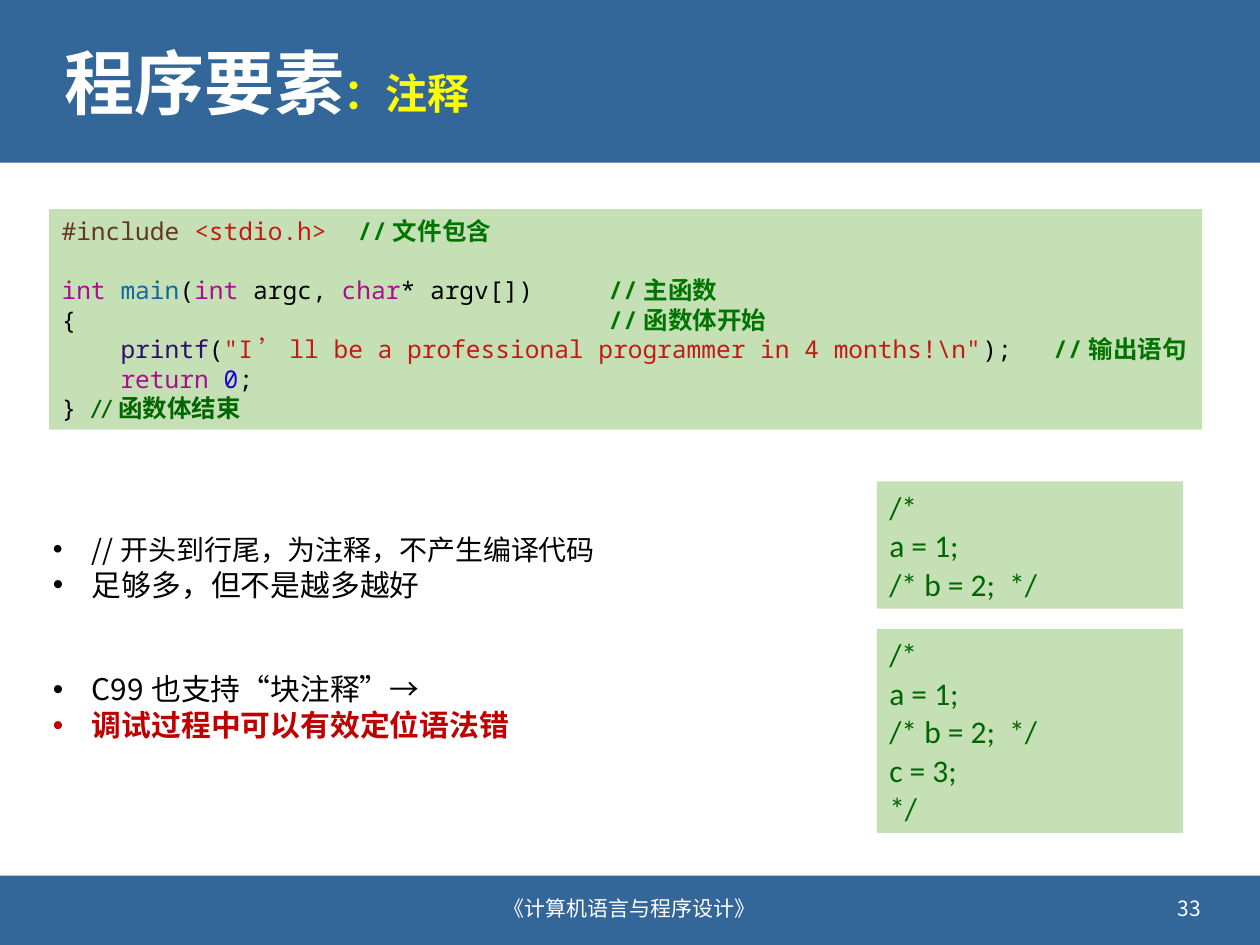
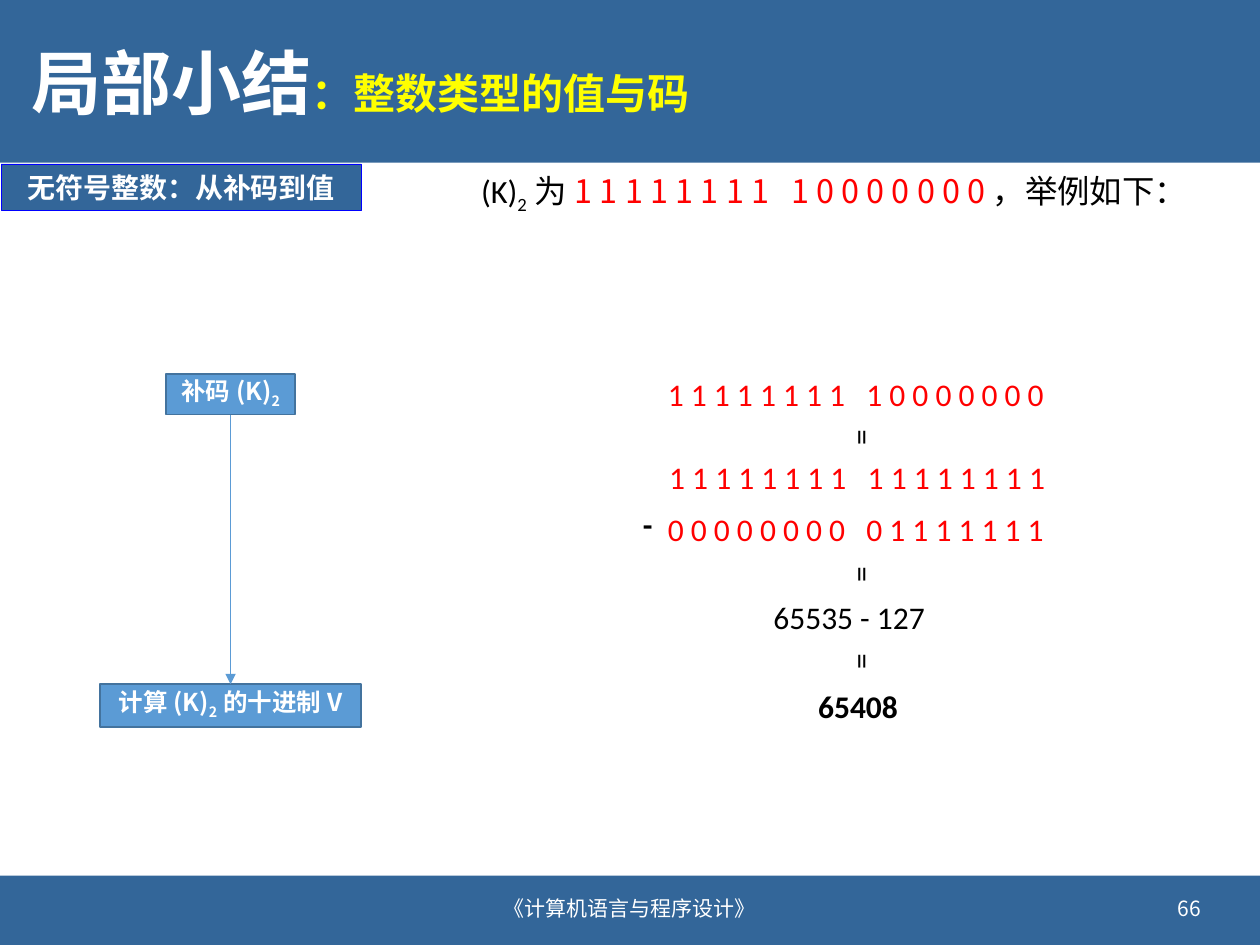
"""Build two lecture slides: comments in C, and decoding an unsigned integer."""
from lxml import etree
from pptx import Presentation
from pptx import util as u
from pptx.dml.color import RGBColor
from pptx.enum import shapes, text
from pptx.oxml import ns

Inches, Pt = u.Inches, u.Pt
SANS, LATIN, MONO = "Noto Sans CJK SC", "Calibri", "Noto Sans Mono"
LEADING = 1.22
COLORS = {
    "band": "336699", "white": "FFFFFF", "black": "000000", "yellow": "FFFF00",
    "code_fill": "C5E0B4", "code": "006600", "comment": "007400", "directive": "643820",
    "string": "C41A16", "keyword": "AA0D91", "function": "0F68A0", "library": "2E0D6E",
    "number": "1C00CF", "warning": "C00000", "red": "FF0000", "step": "5B9BD5",
    "step_line": "43739E", "tag_line": "0000FF",
}
FOOTER = "《计算机语言与程序设计》"
BANDS = [(0, 0, 10, 1.29), (0, 6.95, 10, 0.55)]


def spaced(bits):
    return " ".join(bits)


def colored(content, color, **extra):
    return content, {"color": color, **extra}


def comment(content):
    return colored(content, "comment", bold=True)


BULLETS = [
    ([("//开头到行尾，为注释，不产生编译代码", {"size": 16})], 0),
    ([("足够多，但不是越多越好", {})], 0),
    ([("C99也支持“块注释”→", {})], 39),
    ([colored("调试过程中可以有效定位语法错", "warning", bold=True)], 0),
]
PROGRAM = [
    [colored("#include ", "directive"), colored("<stdio.h>\t", "string"), comment("//文件包含")],
    [colored("int ", "keyword"), colored("main", "function"), ("(", {}), colored("int ", "keyword"),
     ("argc, ", {}), colored("char", "keyword"), ("* argv[])\t", {}), comment("//主函数")],
    [("{\t", {}), comment("//函数体开始")],
    [("    ", {}), colored("printf", "library"), ("(", {}), colored('"I', "string"),
     colored("’", "string", name=SANS),
     colored('ll be a professional programmer in 4 months!\\n"', "string"),
     (");\t", {}), comment("//输出语句")],
    [("    ", {}), colored("return ", "keyword"), colored("0", "number"), (";", {})],
    [("} ", {}), colored("//函数体结束", "code", bold=True, name=LATIN)],
]
PROGRAM_TABS = {0: 2.35, 1: 4.34, 2: 4.34, 3: 7.87}
BLANK_LINE_BEFORE = 1
BLOCK_COMMENTS = [
    (3.82, 1.01, ["/*", "a = 1;", "/* b = 2;  */"]),
    (4.99, 1.62, ["/*", "a = 1;", "/* b = 2;  */", "c = 3;", "*/"]),
]

SUBSCRIPT = ("2", {"baseline": "-25000"})
CODE_WORD = "11111111 10000000"
INTRO = [("(K)", {}), SUBSCRIPT, ("为", {}), colored(spaced(CODE_WORD), "red", name=SANS),
         ("，举例如下：", {})]
STEP_CENTER = 1.83
STEPS = [
    (2.97, 1.02, 0.32, [("补码(K)", {}), SUBSCRIPT]),
    (5.43, 2.07, 0.34, [("计算(K)", {}), SUBSCRIPT, ("的十进制V", {})]),
]
CALCULATION = [
    (5.18, 2.92, 3.23, spaced(CODE_WORD), {"color": "red"}),
    (5.16, 3.58, 3.29, spaced("11111111 11111111"), {"color": "red"}),
    (5, 3.95, 0.28, "-", {"bold": True}),
    (5.18, 3.99, 3.23, spaced("00000000 01111111"), {"color": "red"}),
    (6.03, 4.69, 1.42, "65535 - 127", {}),
    (6.39, 5.4, 0.84, "65408", {"bold": True}),
]
EQUALS_TOPS = [3.27, 4.36, 5.05]


def rgb(name):
    return RGBColor.from_string(COLORS[name])


def set_attributes(target, values):
    for name, value in values.items():
        setattr(target, name, value)


def place(shape, left, top, width, height):
    set_attributes(shape, {"left": Inches(left), "top": Inches(top),
                           "width": Inches(width), "height": Inches(height)})


def add_run(paragraph, content, style):
    run = paragraph.add_run()
    run.text = content
    run.font.color.rgb = rgb(style["color"])
    set_attributes(run.font, {"size": Pt(style["size"]), "name": style["name"],
                              "bold": style.get("bold", False)})
    properties = run.font._element
    etree.SubElement(properties, ns.qn("a:ea"), typeface=SANS)
    if "baseline" in style:
        properties.set("baseline", style["baseline"])


def write(shape, lines, size=18, name=LATIN, color="black", bold=False, align="LEFT",
          anchor="MIDDLE", wrap=True, leading=LEADING):
    """Fill a shape with paragraphs, each a list of (text, style) runs."""
    frame = shape.text_frame
    set_attributes(frame, {"word_wrap": wrap, "auto_size": text.MSO_AUTO_SIZE.NONE,
                           "vertical_anchor": getattr(text.MSO_ANCHOR, anchor),
                           "margin_left": Inches(0.1), "margin_right": Inches(0.1),
                           "margin_top": Inches(0.05), "margin_bottom": Inches(0.05)})
    base = {"size": size, "name": name, "color": color, "bold": bold}
    for index, runs in enumerate(lines):
        paragraph = frame.add_paragraph() if index else frame.paragraphs[0]
        styles = [{**base, **style} for _, style in runs]
        tallest = max(style["size"] for style in styles)
        set_attributes(paragraph, {"alignment": getattr(text.PP_ALIGN, align),
                                   "line_spacing": Pt(round(tallest * leading, 1)),
                                   "space_before": Pt(0)})
        for (content, _), style in zip(runs, styles):
            add_run(paragraph, content, style)
    return frame.paragraphs


def add_box(slide, bounds, fill, line=None, line_width=1):
    box = slide.shapes.add_shape(shapes.MSO_SHAPE.RECTANGLE, *map(Inches, bounds))
    box.shadow.inherit = False
    box.fill.solid()
    box.fill.fore_color.rgb = rgb(fill)
    if line:
        box.line.color.rgb = rgb(line)
        box.line.width = Pt(line_width)
    else:
        box.line.fill.background()
    return box


def add_label(slide, bounds, lines, **options):
    label = slide.shapes.add_textbox(*map(Inches, bounds))
    write(label, lines, **options)
    return label


def add_slide(presentation, layout, title_bounds, heading, topic, number):
    slide = presentation.slides.add_slide(presentation.slide_layouts[layout])
    place(slide.shapes.title, *title_bounds)
    write(slide.shapes.title, [[(heading, {}), colored("：" + topic, "yellow", size=24)]],
          size=40, name=SANS, color="white", bold=True, leading=1.1)
    footer_style = {"size": 12, "name": SANS, "color": "white"}
    add_label(slide, (3.2, 7.01, 3.6, 0.4), [[(FOOTER, {})]], align="CENTER", **footer_style)
    add_label(slide, (7.23, 7.01, 2.4, 0.4), [[(number, {})]], align="RIGHT", **footer_style)
    return slide


def add_bands_to_master(presentation, slide):
    tree = presentation.slide_master.shapes.element
    for position, bounds in enumerate(BANDS, start=2):
        tree.insert(position, add_box(slide, bounds, "band")._element)


def build_comments_slide(presentation):
    slide = add_slide(presentation, 1, (0.41, 0.18, 9.19, 0.99), "程序要素", "注释", "33")
    add_bands_to_master(presentation, slide)

    body = slide.placeholders[1]
    place(body, 0.32, 4.17, 6.11, 2.59)
    paragraphs = write(body, [runs for runs, _ in BULLETS], size=17, name=SANS, anchor="TOP")
    for paragraph, (_, gap) in zip(paragraphs, BULLETS):
        paragraph.space_before = Pt(gap)
        properties = paragraph._p.get_or_add_pPr()
        properties.set("marL", str(Inches(0.31)))
        properties.set("indent", str(-Inches(0.31)))

    for top, height, lines in BLOCK_COMMENTS:
        box = add_box(slide, (6.96, top, 2.43, height), "code_fill")
        write(box, [[(line, {})] for line in lines], color="code")

    program = add_box(slide, (0.39, 1.66, 9.15, 1.75), "code_fill")
    paragraphs = write(program, PROGRAM, size=14, name=MONO, leading=1.2)
    paragraphs[BLANK_LINE_BEFORE].space_before = Pt(16.8)
    for index, position in PROGRAM_TABS.items():
        tabs = etree.SubElement(paragraphs[index]._p.get_or_add_pPr(), ns.qn("a:tabLst"))
        etree.SubElement(tabs, ns.qn("a:tab"), pos=str(Inches(position)), algn="l")


def build_decoding_slide(presentation):
    slide = add_slide(presentation, 5, (0.15, 0.18, 9.85, 0.99), "局部小结", "整数类型的值与码", "66")
    tag = add_box(slide, (0.01, 1.3, 2.86, 0.37), "band", "tag_line", 0.25)
    write(tag, [[("无符号整数：从补码到值", {})]], size=16, name=SANS, color="white",
          bold=True, align="CENTER")
    add_label(slide, (3.72, 1.38, 6.03, 0.5), [INTRO], size=18.5, anchor="TOP", leading=1.1)

    boxes = []
    for top, width, height, runs in STEPS:
        box = add_box(slide, (STEP_CENTER - width / 2, top, width, height), "step", "step_line")
        write(box, [runs], size=14, name=SANS, color="white", bold=True, align="CENTER")
        boxes.append(box)
    arrow = slide.shapes.add_connector(shapes.MSO_CONNECTOR.STRAIGHT, 0, 0, 0, 0)
    arrow.begin_connect(boxes[0], 2)
    arrow.end_connect(boxes[1], 0)
    arrow.line.color.rgb = rgb("step")
    arrow.line.width = Pt(0.5)
    etree.SubElement(arrow.line._get_or_add_ln(), ns.qn("a:tailEnd"), type="triangle")
    etree.SubElement(arrow._element.spPr, ns.qn("a:effectLst"))

    centered = {"align": "CENTER", "anchor": "TOP", "wrap": False}
    for left, top, width, content, style in CALCULATION:
        add_label(slide, (left, top, width, 0.4), [[(content, style)]], **centered)
    for top in EQUALS_TOPS:
        add_label(slide, (6.65, top, 0.33, 0.4), [[("=", {})]], **centered).rotation = 270


def main():
    presentation = Presentation()
    presentation.slide_width, presentation.slide_height = Inches(10), Inches(7.5)
    build_comments_slide(presentation)
    build_decoding_slide(presentation)
    presentation.save("out.pptx")


if __name__ == "__main__":
    main()
